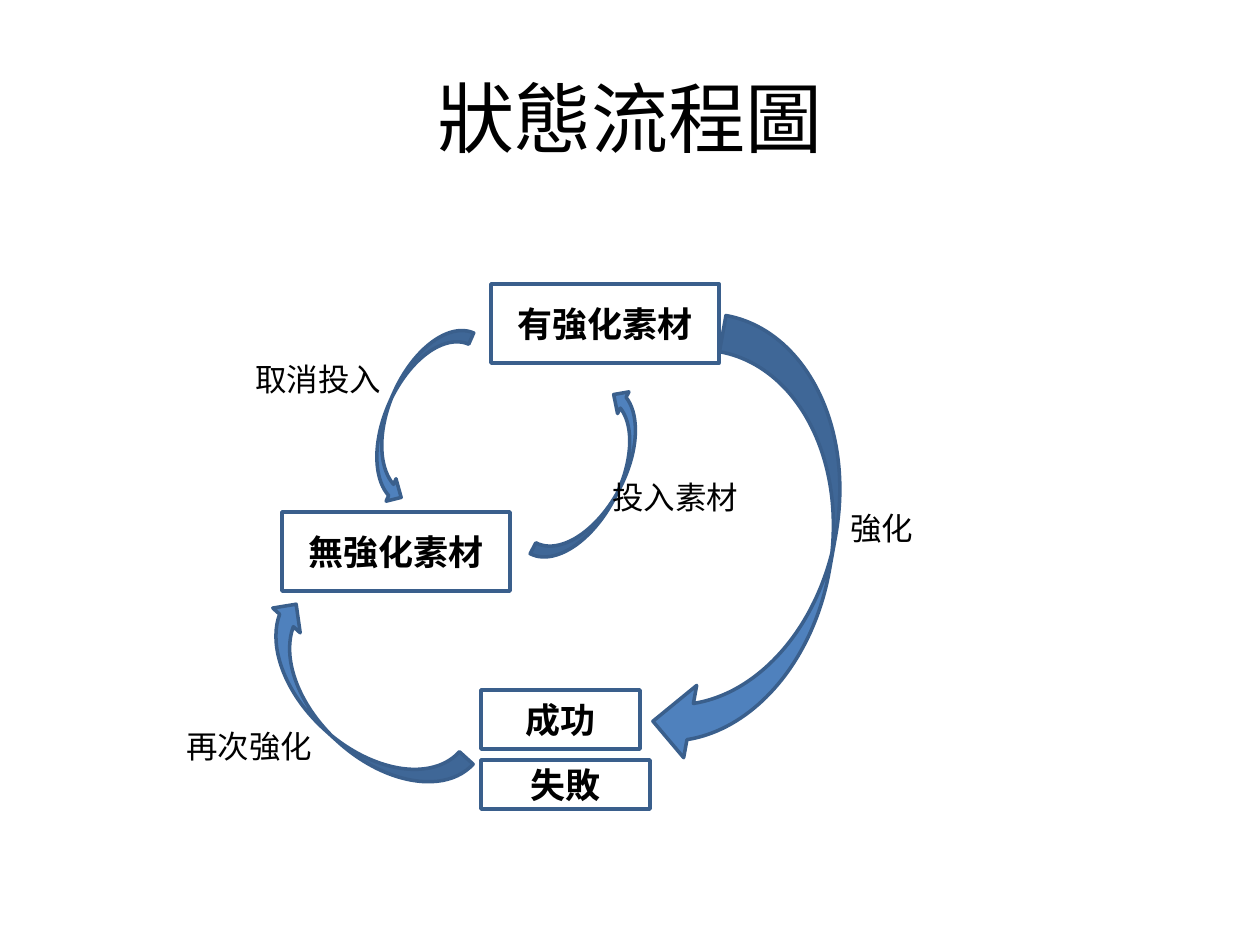
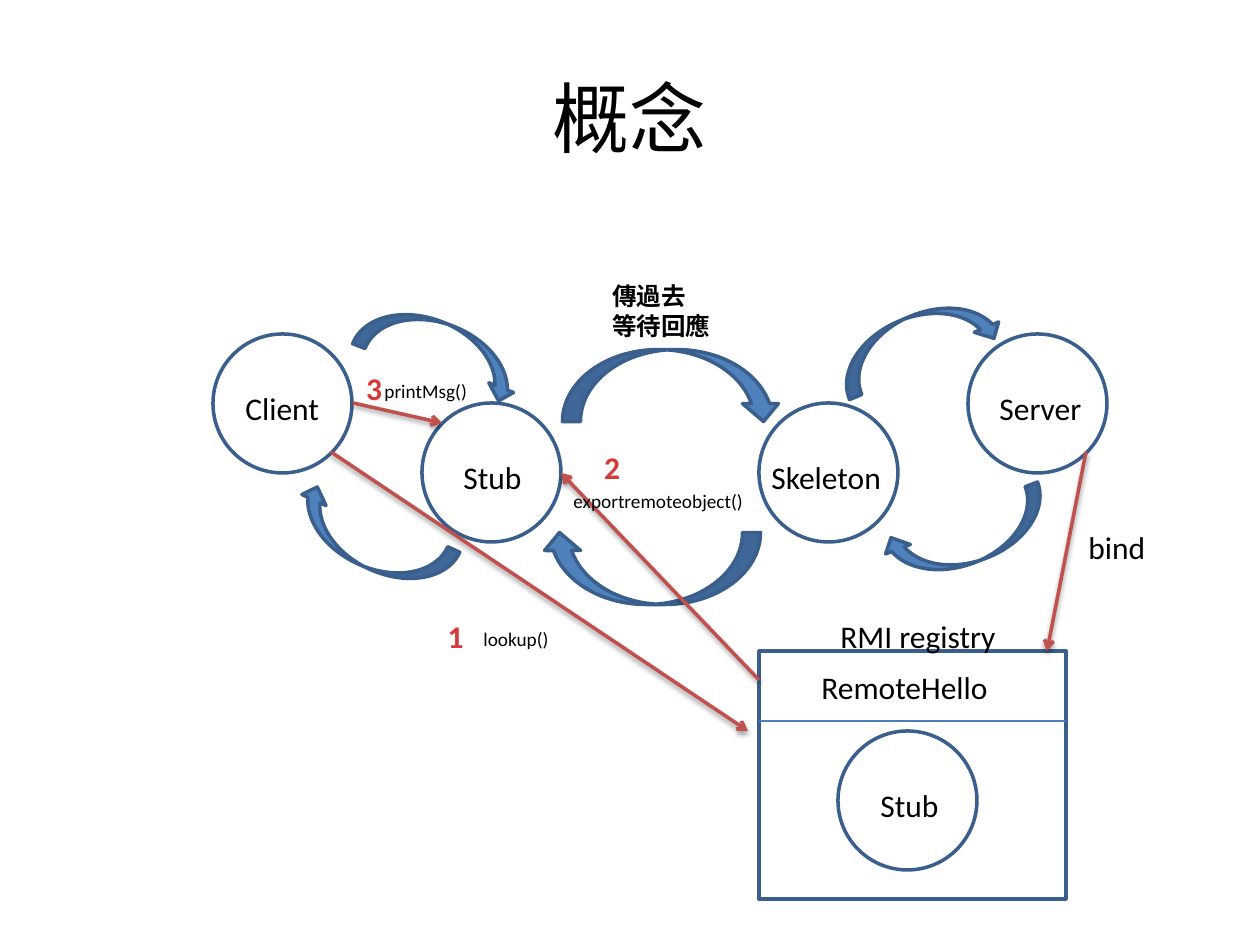
from lxml.etree import SubElement as Sub
from pptx import Presentation
from pptx.dml.color import RGBColor as RGB
from pptx.enum.shapes import MSO_CONNECTOR as Conn, MSO_SHAPE as Kind
from pptx.enum.text import MSO_ANCHOR as Anchor, MSO_AUTO_SIZE as Fit, PP_ALIGN as Align
from pptx.oxml.ns import qn
from pptx.util import Pt


class Theme:
    font = "Calibri"
    ink = RGB.from_string("000000")
    blue = RGB.from_string("4F81BD")
    edge = RGB.from_string("3A5F8C")
    rule = RGB.from_string("4B7EBC")
    red = RGB.from_string("C0504D")
    mark = RGB.from_string("D73A36")
    head, state, label, note, call = 44, 20, 18, 14, 11
    thick, thin = 2, 0.75


SCALE = 914400 / 126
WIDE, HIGH = 1260, 945
TITLE = (63, 38, 1134, 157)
LEFT, RIGHT = Kind.CURVED_LEFT_ARROW, Kind.CURVED_RIGHT_ARROW
LINE_H, CALL_H, NOTE_H = 50, 37, 72
DIA = 139

FLOW = {
    "title": "狀態流程圖",
    "states": [
        ("有強化素材", 491, 284, 228, 79),
        ("無強化素材", 282, 512, 228, 79),
        ("成功", 481, 690, 159, 59),
        ("失敗", 481, 760, 169, 49),
    ],
    "arrows": [
        (RIGHT, 572, 384, 49, 192, 207.7),
        (RIGHT, 388, 315, 49, 192, 23.8),
        (LEFT, 685, 325, 147, 449, 10.2),
        (LEFT, 316, 577, 74, 257, 132.1),
    ],
    "labels": [
        ("取消投入", 243, 354, 152),
        ("投入素材", 600, 472, 152),
        ("再次強化", 174, 721, 152),
        ("強化", 838, 503, 89),
    ],
}

IDEA = {
    "title": "概念",
    "nodes": [(213, 334), (422, 403), (759, 403), (968, 334), (838, 731)],
    "arrows": [
        (LEFT, 415, 265, 53, 170, 291.4),
        (LEFT, 636, 276, 72, 219, 270),
        (LEFT, 891, 257, 53, 170, 247),
        (LEFT, 345, 456, 53, 170, 114.6),
        (LEFT, 941, 452, 53, 170, 69.2),
        (LEFT, 615, 459, 72, 219, 90),
    ],
    "store": (759, 651, 307, 248),
    "split": 70,
    "links": [
        (331, 452, 748, 731),
        (1086, 452, 1047, 651),
        (759, 680, 561, 473),
        (353, 403, 442, 423),
    ],
    "labels": [
        ("Client", 233, 383, 100),
        ("Stub", 451, 452, 84),
        ("Skeleton", 759, 452, 136),
        ("Server", 987, 383, 108),
        ("RemoteHello", 809, 662, 194),
        ("Stub", 868, 780, 84),
        ("RMI registry", 828, 611, 183),
        ("bind", 1076, 522, 83),
    ],
    "calls": [
        ("lookup()", 471, 621, 91),
        ("exportremoteobject()", 561, 483, 197),
        ("printMsg()", 372, 373, 108),
    ],
    "steps": [("1", 422, 611, 67), ("2", 591, 442, 42), ("3", 353, 363, 42)],
    "note": (("傳過去", "等待回應"), 600, 275, 125),
}


def px(*nums):
    return [round(n * SCALE) for n in nums]


def write(frame, lines, size, bold=False, hue=Theme.ink, align=Align.LEFT):
    for i, line in enumerate(lines):
        para = frame.add_paragraph() if i else frame.paragraphs[0]
        para.alignment = align
        run = para.add_run()
        run.text = line
        font = run.font
        font.name, font.size, font.bold = Theme.font, Pt(size), bold
        font.color.rgb = hue


def start(deck, text):
    slide = deck.slides.add_slide(deck.slide_layouts[5])
    title = slide.shapes.title
    title.left, title.top, title.width, title.height = px(*TITLE)
    frame = title.text_frame
    frame.vertical_anchor = Anchor.MIDDLE
    frame.auto_size = Fit.NONE
    write(frame, [text], Theme.head, align=Align.CENTER)
    return slide.shapes


def form(shapes, kind, area, fill=None):
    item = shapes.add_shape(kind, *px(*area))
    item.shadow.inherit = False
    if fill is None:
        item.fill.background()
    else:
        item.fill.solid()
        item.fill.fore_color.rgb = fill
    item.line.color.rgb = Theme.edge
    item.line.width = Pt(Theme.thick)
    return item


def bend(shapes, kind, x, y, w, h, turn):
    item = form(shapes, kind, (x, y, w, h), Theme.blue)
    item.rotation = turn


def label(shapes, lines, area, size, **style):
    frame = shapes.add_textbox(*px(*area)).text_frame
    frame.word_wrap = False
    frame.auto_size = Fit.SHAPE_TO_FIT_TEXT
    write(frame, lines, size, **style)


def link(shapes, ends, hue, width, arrow=False):
    line = shapes.add_connector(Conn.STRAIGHT, *px(*ends))
    line.line.color.rgb = hue
    line.line.width = Pt(width)
    props = line._element.spPr
    fx = Sub(props, qn("a:effectLst"))
    if arrow:
        Sub(props.find(qn("a:ln")), qn("a:tailEnd"), type="arrow")
        shade = Sub(fx, qn("a:outerShdw"), blurRad=str(Pt(3.1)),
                    dist=str(Pt(1.6)), dir="5400000", rotWithShape="0")
        tint = Sub(shade, qn("a:srgbClr"), val="000000")
        Sub(tint, qn("a:alpha"), val="38000")


def flow(deck):
    shapes = start(deck, FLOW["title"])
    for text, *area in FLOW["states"]:
        frame = form(shapes, Kind.FLOWCHART_PROCESS, area).text_frame
        frame.vertical_anchor = Anchor.MIDDLE
        write(frame, [text], Theme.state, bold=True, align=Align.CENTER)
    for arrow in FLOW["arrows"]:
        bend(shapes, *arrow)
    for text, *spot in FLOW["labels"]:
        label(shapes, [text], (*spot, LINE_H), Theme.label)


def idea(deck):
    shapes = start(deck, IDEA["title"])
    for spot in IDEA["nodes"]:
        form(shapes, Kind.OVAL, (*spot, DIA, DIA))
    for arrow in IDEA["arrows"]:
        bend(shapes, *arrow)
    form(shapes, Kind.RECTANGLE, IDEA["store"])
    x, y, w, _ = IDEA["store"]
    y += IDEA["split"]
    link(shapes, (x, y, x + w, y), Theme.rule, Theme.thin)
    for ends in IDEA["links"]:
        link(shapes, ends, Theme.red, Theme.thick, arrow=True)
    for group, high, size in (("labels", LINE_H, Theme.label),
                              ("calls", CALL_H, Theme.call)):
        for text, *spot in IDEA[group]:
            label(shapes, [text], (*spot, high), size)
    for text, *spot in IDEA["steps"]:
        label(shapes, [text], (*spot, LINE_H), Theme.label,
              bold=True, hue=Theme.mark, align=Align.CENTER)
    lines, *spot = IDEA["note"]
    label(shapes, lines, (*spot, NOTE_H), Theme.note, bold=True)


def main():
    deck = Presentation()
    deck.slide_width, deck.slide_height = px(WIDE, HIGH)
    flow(deck)
    idea(deck)
    deck.save("out.pptx")


if __name__ == "__main__":
    main()
